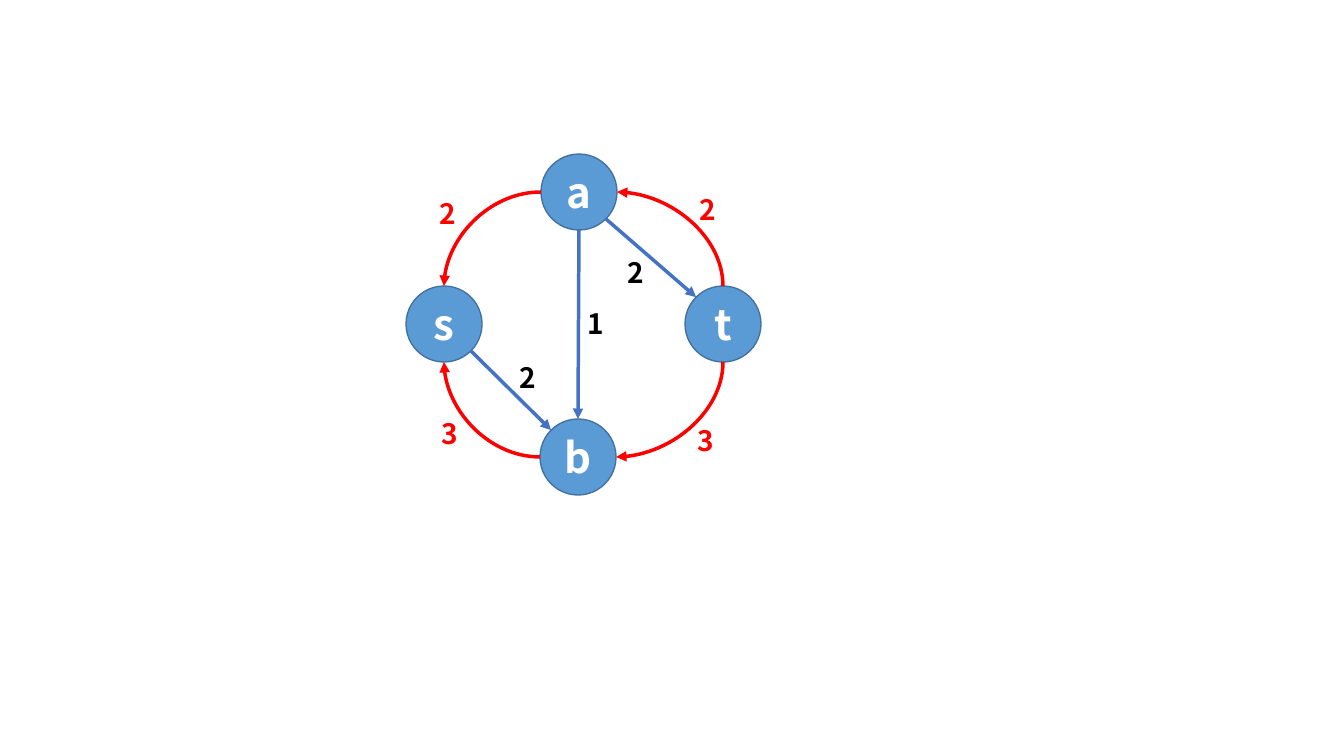
import math
from lxml import etree
from pptx import Presentation, util as u
from pptx.dml.color import RGBColor
from pptx.enum import shapes, text
from pptx.oxml.ns import qn

# Content: node centres in pixels
NODES = {"a": (579, 192), "s": (444, 324), "b": (578, 457), "t": (723, 324)}
# Edges: from, side, to, side, capacity, label corner
FORWARD = [
    ("a", "bottom right", "t", "top left", "2", (618, 251)),
    ("s", "bottom right", "b", "top left", "2", (510, 356)),
    ("a", "bottom", "b", "top", "1", (578, 302)),
]
BACKWARD = [
    ("t", "bottom", "b", "right", "3", (688, 419)),
    ("b", "left", "s", "bottom", "3", (432, 412)),
    ("a", "left", "s", "top", "2", (430, 192)),
    ("t", "top", "a", "right", "2", (690, 188)),
]
ANGLES = {"right": 0, "bottom right": 45, "bottom": 90, "left": 180,
          "top left": 225, "top": 270}
FONT, RADIUS = "Noto Sans CJK SC", 38
LABEL_SIZE = (36, 44)
BLUE, RED, BLACK, WHITE = "4472C4", "FF0000", "000000", "FFFFFF"
NODE_FILL, NODE_LINE = "5B9BD5", "43739E"


def px(value):
    return u.Emu(round(value * 914400 / 100.8))


def color(hex_code):
    return RGBColor.from_string(hex_code)


def set_all(target, values):
    for name, value in values.items():
        setattr(target, name, value)


def write(frame, words, size, hex_code, align, **frame_format):
    set_all(frame, frame_format)
    paragraph = frame.paragraphs[0]
    paragraph.alignment = align
    run = paragraph.add_run()
    run.text = words
    set_all(run.font, {"name": FONT, "size": u.Pt(size), "bold": True})
    run.font.color.rgb = color(hex_code)
    east_asian = etree.SubElement(run.font._element, qn("a:ea"))
    east_asian.set("typeface", FONT)


def site(node, side):
    (x, y), angle = NODES[node], math.radians(ANGLES[side])
    return x + RADIUS * math.cos(angle), y + RADIUS * math.sin(angle)


prs = Presentation()
set_all(prs, {"slide_width": u.Inches(13.333), "slide_height": u.Inches(7.5)})
slide = prs.slides.add_slide(prs.slide_layouts[6])


def add_node(name, x, y):
    node = slide.shapes.add_shape(
        shapes.MSO_SHAPE.OVAL, px(x - RADIUS), px(y - RADIUS),
        px(2 * RADIUS), px(2 * RADIUS))
    node.shadow.inherit = False
    node.fill.solid()
    node.fill.fore_color.rgb = color(NODE_FILL)
    node.line.color.rgb = color(NODE_LINE)
    node.line.width = u.Pt(1)
    write(node.text_frame, name, 30, WHITE, text.PP_ALIGN.CENTER,
          vertical_anchor=text.MSO_ANCHOR.MIDDLE)


def add_arrow(start, end, hex_code, curved, turned):
    (x1, y1), (x2, y2) = start, end
    if turned:  # leaves vertically: lay out unrotated, then turn a quarter
        cx, cy = (x1 + x2) / 2, (y1 + y2) / 2
        dx, dy = (x2 - x1) / 2, (y2 - y1) / 2
        x1, y1, x2, y2 = cx - dy, cy + dx, cx + dy, cy - dx
    kind = shapes.MSO_CONNECTOR.CURVE if curved else shapes.MSO_CONNECTOR.STRAIGHT
    arrow = slide.shapes.add_connector(kind, px(x1), px(y1), px(x2), px(y2))
    arrow.line.color.rgb = color(hex_code)
    arrow.line.width = u.Pt(2.5)
    properties = arrow._element.spPr
    if curved:
        properties.find(qn("a:prstGeom")).set("prst", "curvedConnector2")
    if turned:
        properties.find(qn("a:xfrm")).set("rot", str(90 * 60000))
    etree.SubElement(properties.find(qn("a:ln")), qn("a:tailEnd")).set("type", "triangle")
    etree.SubElement(properties, qn("a:effectLst"))


def add_label(capacity, corner, hex_code):
    label = slide.shapes.add_textbox(*map(px, corner + LABEL_SIZE))
    write(label.text_frame, capacity, 20, hex_code, text.PP_ALIGN.LEFT,
          word_wrap=False, auto_size=text.MSO_AUTO_SIZE.SHAPE_TO_FIT_TEXT)


# Nodes
for name, centre in NODES.items():
    add_node(name, *centre)

# Edges with capacities
for edges, line_color, label_color, curved in (
        (FORWARD, BLUE, BLACK, False), (BACKWARD, RED, RED, True)):
    for source, out_side, target, in_side, capacity, corner in edges:
        turned = curved and out_side in ("top", "bottom")
        add_arrow(site(source, out_side), site(target, in_side),
                  line_color, curved, turned)
        add_label(capacity, corner, label_color)

prs.save("out.pptx")
